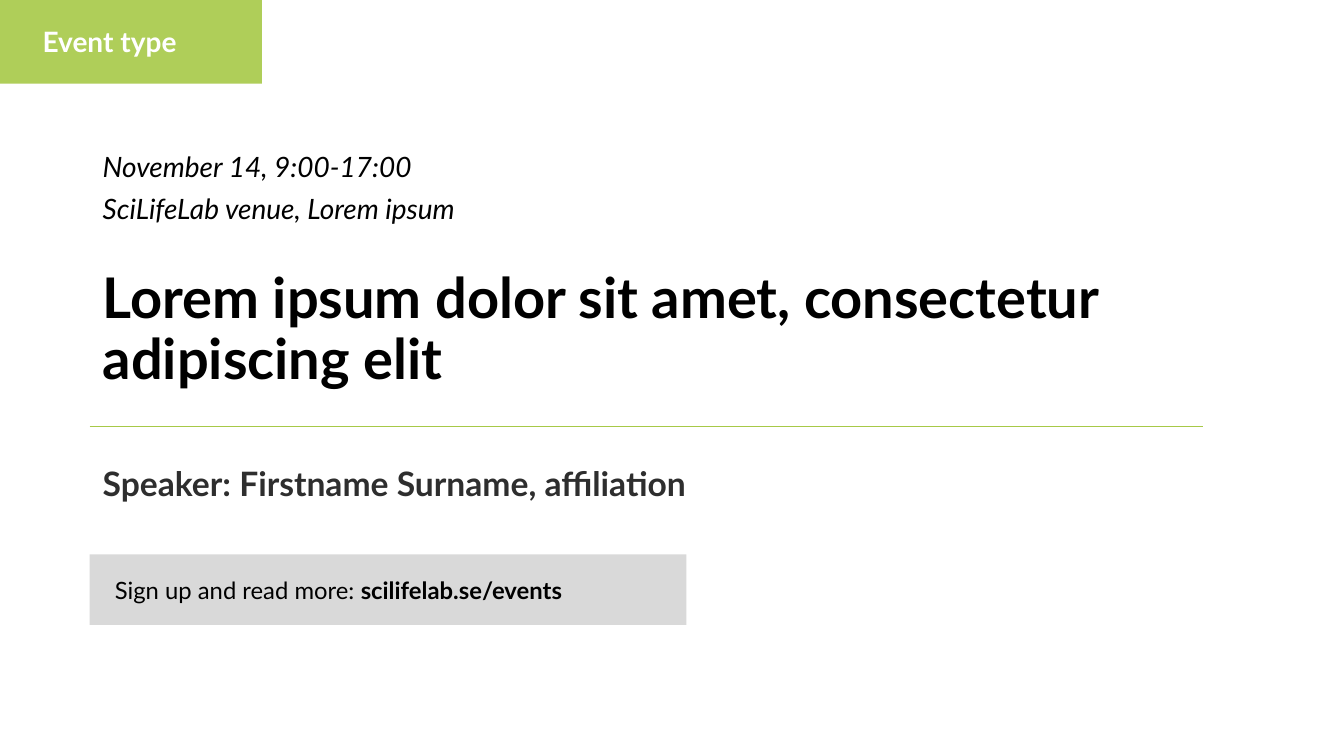
from dataclasses import dataclass

from lxml.etree import SubElement
from pptx import Presentation
from pptx.dml.color import RGBColor
from pptx.enum.shapes import MSO_CONNECTOR, MSO_SHAPE
from pptx.enum.text import MSO_ANCHOR, PP_ALIGN
from pptx.oxml.ns import qn
from pptx.util import Inches, Pt


@dataclass(frozen=True)
class Theme:
    font: str = "Lato"
    black: str = "000000"
    charcoal: str = "2E2E2E"
    white: str = "FFFFFF"
    green: str = "A7C947"
    grey: str = "D9D9D9"
    title: int = 40
    speaker: int = 24
    label: int = 20
    signup: int = 17
    rule: float = 1.25


theme = Theme()
deck = Presentation()
deck.slide_width = Inches(13.33)
deck.slide_height = Inches(7.5)
page = deck.slides.add_slide(deck.slide_layouts[6])


def place(left, top, width, height):
    column, row = deck.slide_width / 100, deck.slide_height / 100
    return [round(left * column), round(top * row), round(width * column), round(height * row)]


def add_text(area, lines, size, color, bold=False, italic=False, anchor=MSO_ANCHOR.TOP, spacing=None):
    box = page.shapes.add_textbox(*place(*area))
    frame = box.text_frame
    frame.word_wrap = True
    frame.vertical_anchor = anchor
    frame.text = lines
    for para in frame.paragraphs:
        para.line_spacing = spacing
        for span in para.runs:
            span.font.name = theme.font
            span.font.size = Pt(size)
            span.font.bold = bold
            span.font.italic = italic
            span.font.color.rgb = RGBColor.from_string(color)
    return frame


margin, text_left = 6.67, 6.9
tight = {"anchor": MSO_ANCHOR.BOTTOM, "spacing": 0.9}

panels = [
    ((margin, 73.33, 44.4, 9.33), theme.grey),
    ((0, -0.13, 19.5, 11.2), theme.green),
]
for area, color in panels:
    panel = page.shapes.add_shape(MSO_SHAPE.RECTANGLE, *place(*area))
    panel.shadow.inherit = False
    panel.line.fill.background()
    panel.fill.solid()
    panel.fill.fore_color.rgb = RGBColor.from_string(color)
    if color == theme.green:
        tint = panel.fill._xPr.find(qn("a:solidFill"))[0]
        SubElement(tint, qn("a:alpha")).set("val", "90000")

add_text((text_left, 34.13, 86.25, 18.27), "Lorem ipsum dolor sit amet, consectetur \vadipiscing elit",
         theme.title, theme.black, bold=True, **tight)

add_text((text_left, 57.87, 50, 8.4), "Speaker: Firstname Surname, affiliation",
         theme.speaker, theme.charcoal, bold=True, spacing=1.5)

schedule = add_text((text_left, 19.07, 65.25, 11.47), "November 14, 9:00-17:00\nSciLifeLab venue, Lorem ipsum",
                    theme.label, theme.black, italic=True)
for para in schedule.paragraphs:
    para.space_after = Pt(6)

signup = add_text((7.8, 75.33, 47.6, 5.33), "Sign up and read more: ", theme.signup, theme.black, **tight)
address = signup.paragraphs[0].add_run()
address.text = "scilifelab.se/events"
address.font.name = theme.font
address.font.size = Pt(theme.signup)
address.font.bold = True
address.font.color.rgb = RGBColor.from_string(theme.black)

event = add_text((1.35, 2.53, 13.6, 5.87), "Event type", theme.label, theme.white, bold=True, **tight)
event.paragraphs[0].alignment = PP_ALIGN.CENTER

start_x, start_y, end_x, end_y = place(margin, 56.4, 89.5, 56.4)
divider = page.shapes.add_connector(MSO_CONNECTOR.STRAIGHT, start_x, start_y, end_x, end_y)
divider.line.color.rgb = RGBColor.from_string(theme.green)
divider.line.width = Pt(theme.rule)
SubElement(divider._element.spPr, qn("a:effectLst"))

deck.save("out.pptx")
